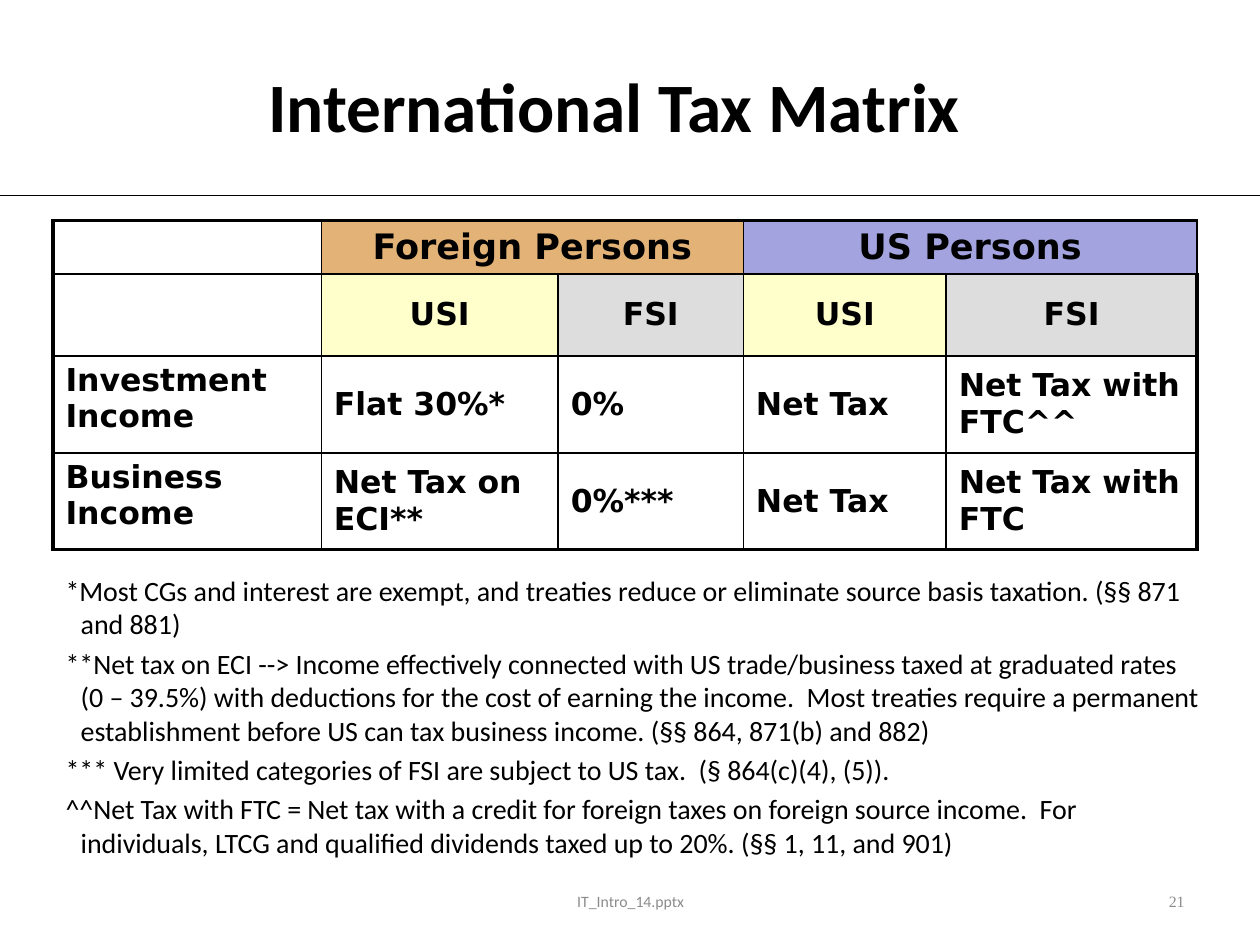
import pptx
import pptx.dml.color
import pptx.enum.shapes
import pptx.enum.text
import pptx.oxml.ns
import pptx.util
from lxml import etree

Inches, Pt = pptx.util.Inches, pptx.util.Pt
ALIGN, ANCHOR = pptx.enum.text.PP_ALIGN, pptx.enum.text.MSO_ANCHOR
qn = pptx.oxml.ns.qn

COLORS = {
    "ink": "000000", "paper": "FFFFFF", "footer": "8C8C8C",
    "foreign": "E3B276", "us": "A3A3E0", "usi": "FFFFCC", "fsi": "DDDDDD",
}
COLUMN_WIDTHS = [2.13, 1.88, 1.47, 1.61, 1.99]
ROW_HEIGHTS = [0.42, 0.65, 0.77, 0.77]
MATRIX = [
    ["", "Foreign Persons", "", "US Persons", ""],
    ["", "USI", "FSI", "USI", "FSI"],
    ["Investment Income", "Flat 30%*", "0%", "Net Tax", "Net Tax with FTC^^"],
    ["Business Income", "Net Tax on ECI**", "0%***", "Net Tax", "Net Tax with FTC"],
]
HEADER_FILLS = [
    ["paper", "foreign", "foreign", "us", "us"],
    ["paper", "usi", "fsi", "usi", "fsi"],
]
FOOTNOTES = [
    "*Most CGs and interest are exempt, and treaties reduce or eliminate source basis "
    "taxation. (§§ 871 and 881)",
    "**Net tax on ECI --> Income effectively connected with US trade/business taxed at "
    "graduated rates (0 – 39.5%) with deductions for the cost of earning the income.  "
    "Most treaties require a permanent establishment before US can tax business income. "
    "(§§ 864, 871(b) and 882)",
    "*** Very limited categories of FSI are subject to US tax.  (§ 864(c)(4), (5)).",
    "^^Net Tax with FTC = Net tax with a credit for foreign taxes on foreign source "
    "income.  For individuals, LTCG and qualified dividends taxed up to 20%. "
    "(§§ 1, 11, and 901)",
]


def rgb(name):
    """Return the named colour."""
    return pptx.dml.color.RGBColor.from_string(COLORS[name])


def style(paragraph, size, face, color="ink", bold=False, align=ALIGN.LEFT):
    """Format a whole paragraph."""
    paragraph.alignment = align
    font = paragraph.font
    font.size, font.name, font.bold = Pt(size), face, bold
    font.color.rgb = rgb(color)


def place(shape, box):
    """Move a shape to a box of left, top, width and height."""
    shape.left, shape.top, shape.width, shape.height = map(Inches, box)


def add_title(slide, box):
    """Fill the title placeholder and draw the rule below it."""
    title = slide.shapes.title
    place(title, box)
    title.text_frame.text = "International Tax Matrix"
    title.text_frame.vertical_anchor = ANCHOR.MIDDLE
    style(title.text_frame.paragraphs[0], 39.6, "Calibri", bold=True, align=ALIGN.CENTER)
    rule = slide.shapes.add_connector(
        pptx.enum.shapes.MSO_CONNECTOR.STRAIGHT,
        Inches(0), Inches(1.55), Inches(10), Inches(1.55))
    rule.line.color.rgb = rgb("ink")
    rule.line.width = Pt(0.75)
    etree.SubElement(rule._element.spPr, qn("a:effectLst"))


def set_borders(cell, widths):
    """Draw the left, right, top and bottom borders of a cell."""
    properties = cell._tc.get_or_add_tcPr()
    for side, width in zip("LRTB", widths):
        border = etree.SubElement(properties, qn(f"a:ln{side}"), w=str(Pt(width)))
        fill = etree.SubElement(border, qn("a:solidFill"))
        etree.SubElement(fill, qn("a:srgbClr"), val=COLORS["ink"])


def add_matrix(slide, box):
    """Build the tax table with a heavy outer frame."""
    rows, columns = len(ROW_HEIGHTS), len(COLUMN_WIDTHS)
    table = slide.shapes.add_table(rows, columns, *map(Inches, box)).table
    for column, width in zip(table.columns, COLUMN_WIDTHS):
        column.width = Inches(width)
    for row, height in zip(table.rows, ROW_HEIGHTS):
        row.height = Inches(height)
    for r, texts in enumerate(MATRIX):
        for c, text in enumerate(texts):
            cell = table.cell(r, c)
            is_header = r < len(HEADER_FILLS)
            edges = (c == 0, c == columns - 1, r == 0, r == rows - 1)
            set_borders(cell, [2.25 if edge else 1 for edge in edges])
            cell.fill.solid()
            cell.fill.fore_color.rgb = rgb(HEADER_FILLS[r][c] if is_header else "paper")
            cell.vertical_anchor = ANCHOR.TOP if c == 0 else ANCHOR.MIDDLE
            cell.text = text
            entry = cell.text_frame.paragraphs[0]
            style(entry, 20 if r == 0 else 18, "DejaVu Sans", bold=True,
                  align=ALIGN.CENTER if is_header else ALIGN.LEFT)
    for c in (1, 3):
        table.cell(0, c).merge(table.cell(0, c + 1))


def add_footnotes(slide, box):
    """Fill the body placeholder with hanging, unbulleted notes."""
    body = slide.placeholders[1]
    place(body, box)
    frame = body.text_frame
    frame.text = "\n".join(FOOTNOTES)
    frame.vertical_anchor = ANCHOR.TOP
    for note in frame.paragraphs:
        style(note, 16, "Calibri")
        note.space_before = Pt(3.2)
        properties = note._p.get_or_add_pPr()
        properties.set("marL", str(Inches(0.12)))
        properties.set("indent", str(Inches(-0.12)))
        properties.insert_element_before(
            etree.SubElement(properties, qn("a:buNone")),
            "a:tabLst", "a:defRPr", "a:extLst")


def add_footer(slide, box, text, face, align):
    """Add one small grey line at the foot of the slide."""
    frame = slide.shapes.add_textbox(*map(Inches, box)).text_frame
    frame.word_wrap = True
    frame.vertical_anchor = ANCHOR.MIDDLE
    frame.text = text
    style(frame.paragraphs[0], 9, face, "footer", align=align)


def main():
    """Build and save the slide."""
    deck = pptx.Presentation()
    deck.slide_width, deck.slide_height = Inches(10), Inches(7.5)
    slide = deck.slides.add_slide(deck.slide_layouts[1])
    add_title(slide, (0.25, 0.5, 9.25, 0.67))
    add_matrix(slide, (0.42, 1.75, 9.08, 2.61))
    add_footnotes(slide, (0.42, 4.5, 9.25, 2.67))
    add_footer(slide, (3.42, 6.95, 3.17, 0.4), "IT_Intro_14.pptx", "Calibri", ALIGN.CENTER)
    add_footer(slide, (7.17, 6.95, 2.33, 0.4), "21", "Times New Roman", ALIGN.RIGHT)
    deck.save("out.pptx")


if __name__ == "__main__":
    main()
